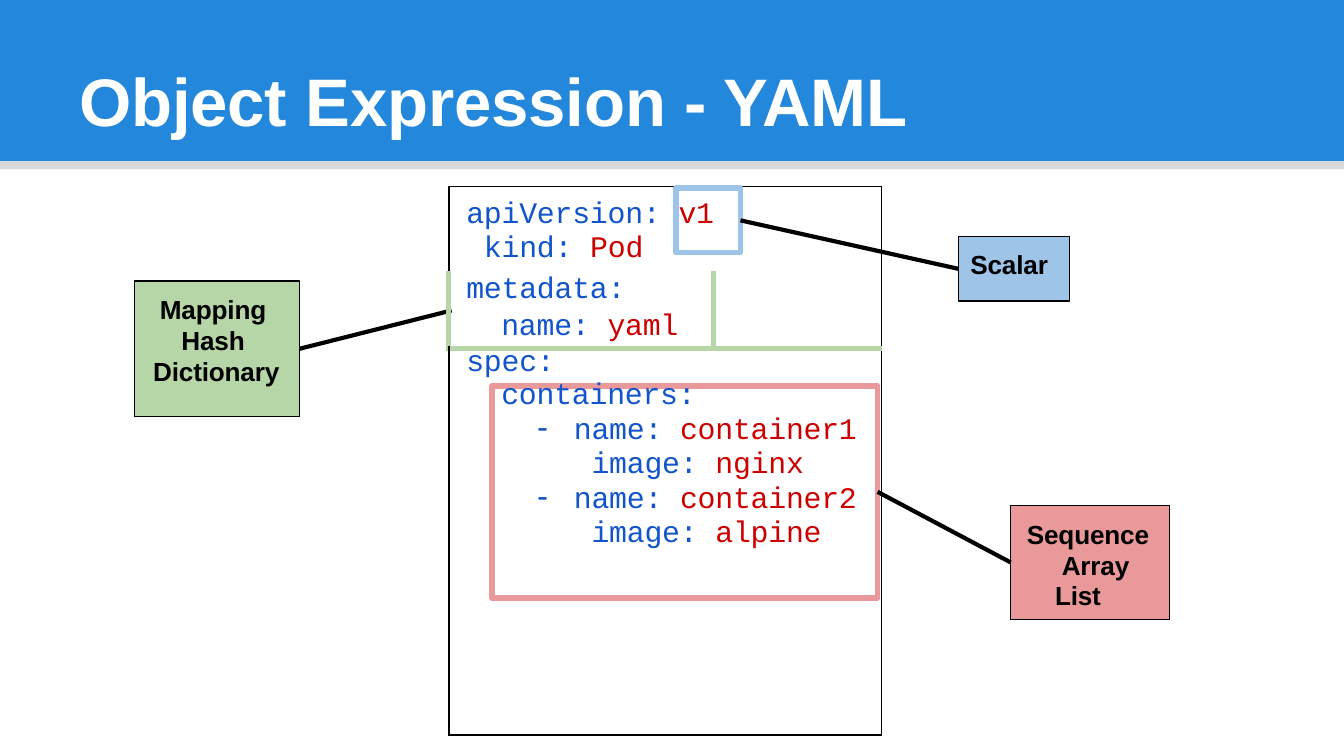
from lxml import etree
from pptx import Presentation
from pptx import util as u
from pptx.dml.color import RGBColor
from pptx.enum import shapes, text
from pptx.oxml import ns

BANNER = RGBColor(0x23, 0x87, 0xDB)
RULE = RGBColor(0xD9, 0xD9, 0xD9)
WHITE = RGBColor(0xFF, 0xFF, 0xFF)
BLACK = RGBColor(0x00, 0x00, 0x00)
GREEN = RGBColor(0xB6, 0xD6, 0xA8)
PINK = RGBColor(0xE9, 0x99, 0x99)
SKY = RGBColor(0x9E, 0xC4, 0xE8)
KEY = RGBColor(0x11, 0x54, 0xCC)
VALUE = RGBColor(0xCC, 0x00, 0x00)

THIN, THICK = 0.75, 3
TOP, LEFT, BOTTOM, RIGHT = range(4)

# Code lines: indent, key, value, line spacing, bulleted
HEADER = [
    (0.13, "apiVersion: ", "v1", 1.02, False),
    (0.13, " kind: ", "Pod", 1.02, False),
]
METADATA = [
    (0.13, "metadata:", "", u.Pt(19.5), False),
    (0.39, "name: ", "yaml", u.Pt(19.5), False),
]
SPEC = [
    (0.13, "spec:", "", u.Pt(17.1), False),
    (0.39, "containers:", "", 1.0, False),
]
for container, image in (("container1", "nginx"), ("container2", "alpine")):
    SPEC += [
        (0.93, "name: ", container, 1.02, True),
        (0.93, " image: ", image, 1.02, False),
    ]


class YamlSlide:
    def __init__(self, slide):
        self.slide = slide

    def style(self, run, font, size, color, bold=False):
        run.font.name = font
        run.font.size = u.Pt(size)
        run.font.bold = bold
        run.font.color.rgb = color
        run._r.get_or_add_rPr().set("spc", "-10")

    def indent(self, paragraph, left, hanging=0):
        properties = paragraph._p.get_or_add_pPr()
        properties.set("marL", str(u.Inches(left)))
        properties.set("indent", str(-u.Inches(hanging)))
        return properties

    def box(self, left, top, width, height, fill=None, line=None, weight=THIN):
        box = self.slide.shapes.add_shape(
            shapes.MSO_SHAPE.RECTANGLE,
            *map(u.Inches, (left, top, width, height)))
        box.shadow.inherit = False
        if fill is None:
            box.fill.background()
        else:
            box.fill.solid()
            box.fill.fore_color.rgb = fill
        if line is None:
            box.line.fill.background()
        else:
            box.line.color.rgb = line
            box.line.width = u.Pt(weight)
        return box

    def frame_text(self, frame, top):
        frame.margin_left = frame.margin_right = frame.margin_bottom = 0
        frame.margin_top = u.Inches(top)
        frame.vertical_anchor = text.MSO_ANCHOR.TOP
        frame.word_wrap = True

    def title(self, wording, left, top, width, height):
        box = self.slide.shapes.add_textbox(
            *map(u.Inches, (left, top, width, height)))
        self.frame_text(box.text_frame, 0.01)
        box.text_frame.text = wording
        title = box.text_frame.paragraphs[0]
        self.indent(title, 0.01)
        self.style(title.runs[0], "Arial", 36, WHITE, True)

    def label(self, place, fill, lines, inset):
        """Add a filled label from pairs of indent and wording."""
        label = self.box(*place, fill=fill, line=BLACK)
        frame = label.text_frame
        self.frame_text(frame, inset)
        frame.text = "\n".join(wording for _, wording in lines)
        for paragraph, (left, _) in zip(frame.paragraphs, lines):
            paragraph.alignment = text.PP_ALIGN.LEFT
            paragraph.line_spacing = u.Pt(16.5)
            self.indent(paragraph, left)
            self.style(paragraph.runs[0], "Arial", 14, BLACK, True)
        return label

    def connector(self, start, start_side, end, end_side=None):
        """Join a box to another box, or to a point when no end side is given."""
        line = self.slide.shapes.add_connector(
            shapes.MSO_CONNECTOR.STRAIGHT, 0, 0, 0, 0)
        line.begin_connect(start, start_side)
        if end_side is None:
            line.end_x, line.end_y = map(u.Inches, end)
        else:
            line.end_connect(end, end_side)
        line.line.color.rgb = BLACK
        line.line.width = u.Pt(2.25)
        etree.SubElement(line._element.spPr, ns.qn("a:effectLst"))

    def code(self, cell, lines):
        frame = cell.text_frame
        for number, (left, key, value, spacing, bulleted) in enumerate(lines):
            paragraph = frame.paragraphs[0] if number == 0 else frame.add_paragraph()
            properties = self.indent(paragraph, left, 0.27 if bulleted else 0)
            paragraph.line_spacing = spacing
            if bulleted:
                etree.SubElement(properties, ns.qn("a:buChar"), char="-")
            for part, color in ((key, KEY), (value, VALUE)):
                if part:
                    run = paragraph.add_run()
                    run.text = part
                    self.style(run, "Courier New", 16, color)

    def borders(self, cell, **sides):
        """Draw the given sides (L, R, T, B) and hide the others."""
        properties = cell._tc.get_or_add_tcPr()
        for side in "LRTB":
            color, weight = sides.get(side, (None, 0))
            line = etree.SubElement(
                properties, ns.qn("a:ln" + side), w=str(u.Pt(weight)))
            if color is None:
                etree.SubElement(line, ns.qn("a:noFill"))
            else:
                fill = etree.SubElement(line, ns.qn("a:solidFill"))
                etree.SubElement(fill, ns.qn("a:srgbClr"), val=str(color))

    def manifest(self, left, top, widths, heights):
        table = self.slide.shapes.add_table(
            len(heights), len(widths), u.Inches(left), u.Inches(top),
            u.Inches(sum(widths)), u.Inches(sum(heights))).table
        table.first_row = table.horz_banding = False
        for column, width in zip(table.columns, widths):
            column.width = u.Inches(width)
        for row, height in zip(table.rows, heights):
            row.height = u.Inches(height)
        for row in (0, 2):
            table.cell(row, 0).merge(table.cell(row, 1))

        black, green = (BLACK, THIN), (GREEN, THICK)
        for column in range(2):
            self.borders(table.cell(0, column), L=black, R=black, T=black)
            self.borders(table.cell(2, column), L=black, R=black, T=green, B=black)
        self.borders(table.cell(1, 0), L=green, R=green, B=green)
        self.borders(table.cell(1, 1), L=green, R=black, B=green)
        for cell in table.iter_cells():
            cell.fill.background()
            cell.margin_left = cell.margin_right = 0
            cell.margin_top = cell.margin_bottom = 0
        table.cell(0, 0).margin_top = u.Inches(0.08)
        for row, lines in enumerate((HEADER, METADATA, SPEC)):
            self.code(table.cell(row, 0), lines)


def main():
    deck = Presentation()
    deck.slide_width = u.Inches(10)
    deck.slide_height = deck.slide_width * 9 // 16
    page = YamlSlide(deck.slides.add_slide(deck.slide_layouts[6]))

    page.box(0, 0, 10, 1.2, fill=BANNER)
    page.box(0, 1.2, 10, 0.06, fill=RULE)
    page.title("Object Expression - YAML", 0.58, 0.43, 6.26, 0.63)

    mapping = page.label((1, 2.09, 1.23, 1.01), GREEN,
                         ((0.19, "Mapping"), (0.35, "Hash"), (0.14, "Dictionary")), 0.1)
    page.connector(mapping, RIGHT, (3.36, 2.31))
    containers = page.box(3.66, 2.87, 2.87, 1.58, line=PINK, weight=THICK)
    page.manifest(3.34, 1.39, (1.97, 1.25), (0.63, 0.57, 2.88))

    sequence = page.label((7.52, 3.76, 1.18, 0.85), PINK,
                          ((0.12, "Sequence"), (0.38, "Array"), (0.33, "List")), 0.1)
    page.connector(containers, RIGHT, sequence, LEFT)

    version = page.box(5.03, 1.4, 0.48, 0.48, line=SKY, weight=THICK)
    scalar = page.label((7.13, 1.76, 0.83, 0.48), SKY, ((0.09, "Scalar"),), 0.09)
    page.connector(scalar, LEFT, version, RIGHT)

    deck.save("out.pptx")


if __name__ == "__main__":
    main()
